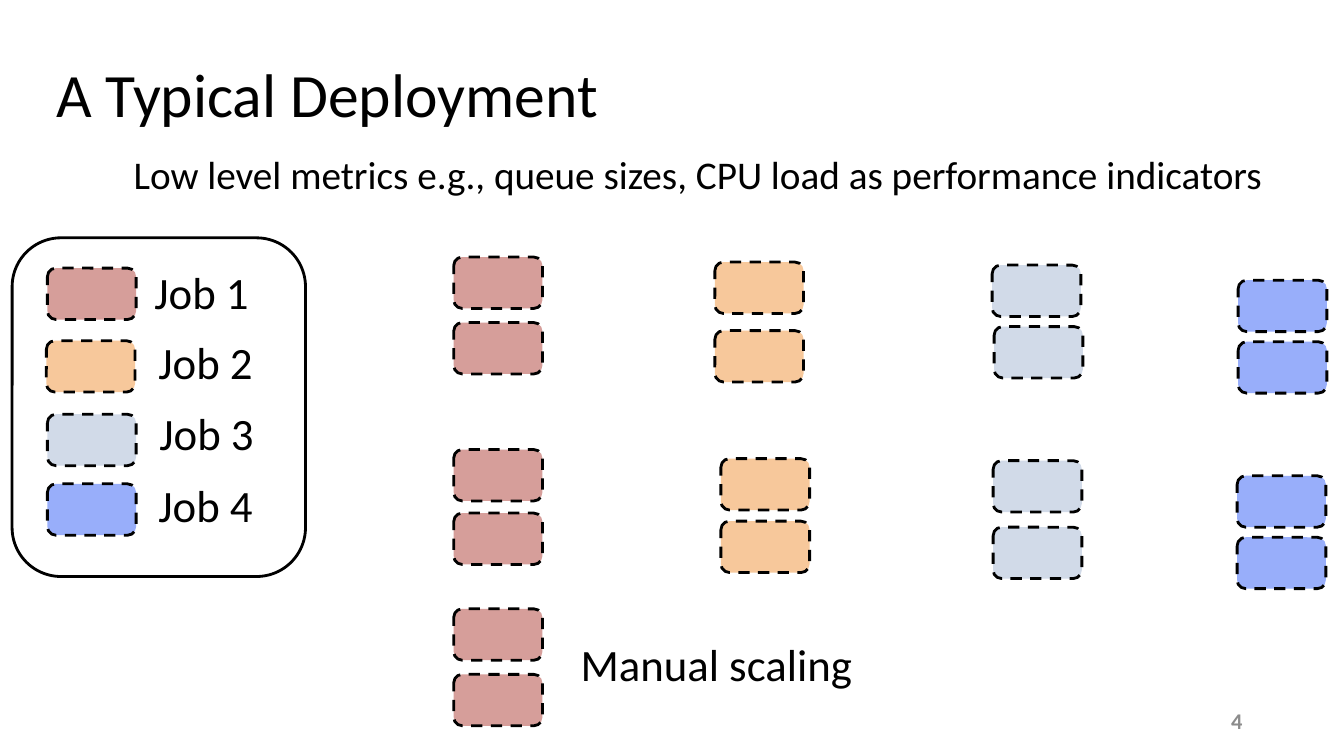
from pptx import Presentation
from pptx import util as u
from pptx.dml.color import RGBColor
from pptx.enum import dml, shapes, text

PX = 9144  # 100 px to the inch
BLACK = RGBColor(0, 0, 0)
GRAY = RGBColor(0x8C, 0x8C, 0x8C)
RED = RGBColor(0xD6, 0x9E, 0x9A)
ORANGE = RGBColor(0xF7, 0xC8, 0x9B)
PALE = RGBColor(0xD1, 0xDA, 0xE8)
BLUE = RGBColor(0x98, 0xAE, 0xFA)
LEFT, MID, RIGHT = text.PP_ALIGN.LEFT, text.PP_ALIGN.CENTER, text.PP_ALIGN.RIGHT
TASK_W, TASK_H = 88, 51

# Each task: left, top, relative to the legend box
KEYS = [(RED, 35, 30), (ORANGE, 34, 102), (PALE, 35, 175), (BLUE, 35, 244)]
# Each label: left, top, relative to the legend box
LABELS = [(126, 14), (130, 83), (131, 154), (130, 225)]
# Each pair: colour, left, top, step right, step down, relative to the grid
PAIRS = [
    (RED, 0, 0, 0, 65), (ORANGE, 259, 5, 0, 68),
    (PALE, 534, 8, 2, 61), (BLUE, 778, 23, 0, 61),
    (RED, 0, 191, 0, 63), (ORANGE, 265, 200, 0, 62),
    (PALE, 535, 202, 0, 66), (BLUE, 777, 217, 0, 61),
]


def add_text(slide, box, words, size, align=LEFT, color=BLACK, bold=False):
    frame = slide.shapes.add_textbox(*(v * PX for v in box)).text_frame
    frame.word_wrap = True
    frame.vertical_anchor = text.MSO_ANCHOR.MIDDLE
    frame.text = words
    para = frame.paragraphs[0]
    para.alignment = align
    font = para.runs[0].font
    font.name, font.size, font.bold = "Calibri", u.Pt(size), bold
    font.color.rgb = color
    return para


def add_round(slide, box):
    """Add an unfilled rounded box with a black outline."""
    shape = slide.shapes.add_shape(
        shapes.MSO_SHAPE.ROUNDED_RECTANGLE, *(v * PX for v in box))
    shape.shadow.inherit = False
    shape.fill.background()
    shape.line.color.rgb = BLACK
    shape.line.width = u.Pt(2)
    return shape


def add_task(slide, x, y, color):
    task = add_round(slide, (x, y, TASK_W, TASK_H))
    task.fill.solid()
    task.fill.fore_color.rgb = color
    task.line.dash_style = dml.MSO_LINE.DASH


def add_pair(slide, x, y, color, right, down):
    add_task(slide, x, y, color)
    add_task(slide, x + right, y + down, color)


def add_header(slide, x, y):
    add_text(slide, (x + 29, y + 109, 1234, 79),
             "Low level metrics e.g., queue sizes, CPU load as performance indicators",
             28, MID)
    title = add_text(slide, (x, y, 1150, 145), "A Typical Deployment", 44)
    title.line_spacing = 0.9


def add_legend(slide, x, y, w, h):
    add_round(slide, (x, y, w, h))
    for color, left, top in KEYS:
        add_task(slide, x + left, y + top, color)
    for num, (left, top) in enumerate(LABELS, 1):
        add_text(slide, (x + left, y + top, 124, 79), f"Job {num}", 32, MID)


def add_grid(slide, x, y):
    for color, left, top, right, down in PAIRS:
        add_pair(slide, x + left, y + top, color, right, down)


def add_scaling(slide, x, y):
    add_pair(slide, x, y, RED, 0, 65)
    add_text(slide, (x + 116, y + 15, 313, 79), "Manual scaling", 32)


def main():
    deck = Presentation()
    deck.slide_width, deck.slide_height = 1333 * PX, 750 * PX
    slide = deck.slides.add_slide(deck.slide_layouts[6])
    add_text(slide, (942, 695, 300, 40), "4", 16, RIGHT, GRAY, True)
    add_legend(slide, 12, 236, 291, 336)
    add_header(slide, 46, 24)
    add_scaling(slide, 450, 604)
    add_grid(slide, 450, 255)
    deck.save("out.pptx")


if __name__ == "__main__":
    main()
